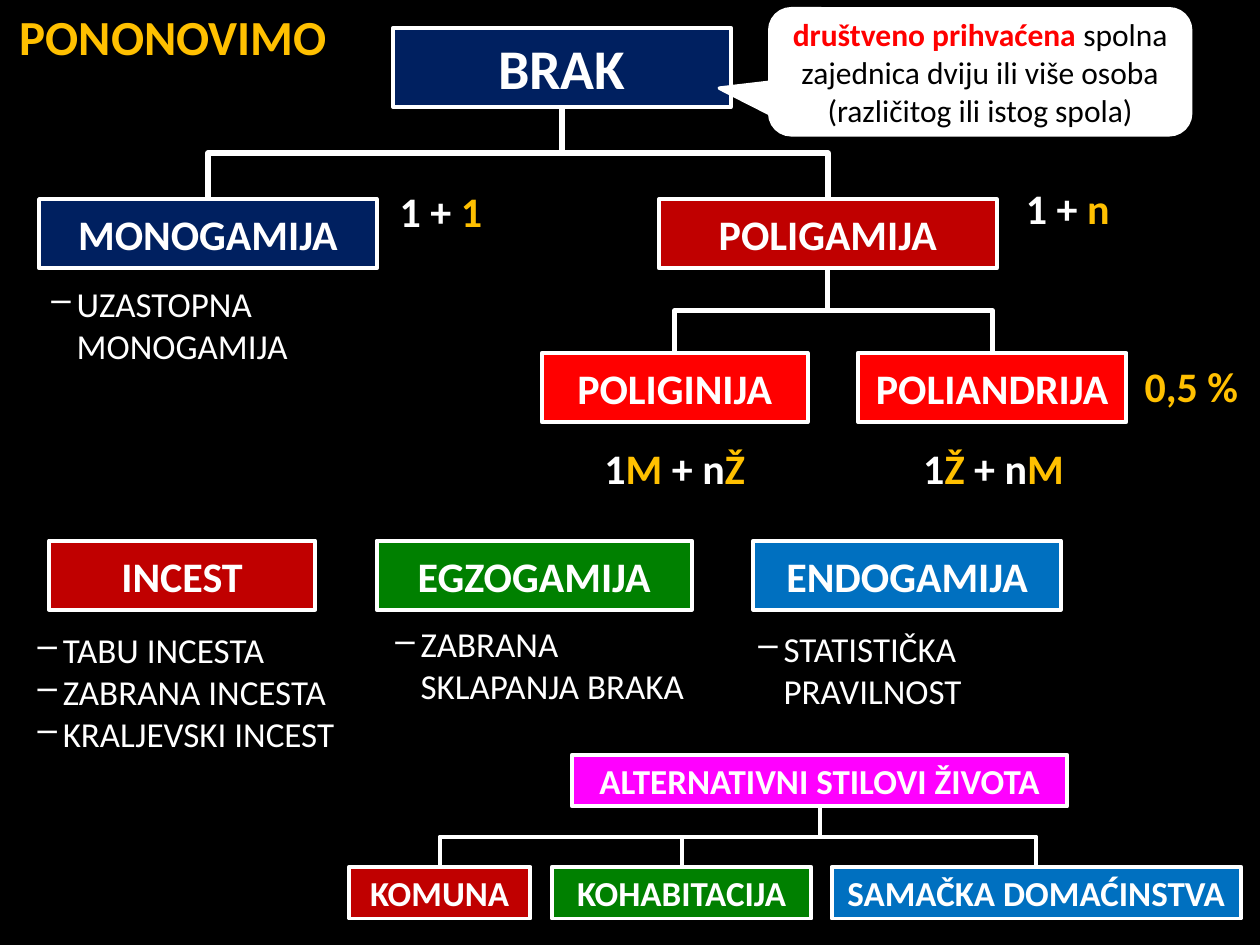
"""Builds a review slide on forms of marriage as a tree of labelled boxes."""
from lxml import etree
from pptx import Presentation
from pptx.dml.color import RGBColor
from pptx.enum import shapes, text
from pptx.oxml.ns import qn
from pptx.util import Inches, Pt

COLORS = {
    "black": "000000", "white": "FFFFFF", "gold": "FFC000", "navy": "002060",
    "crimson": "C00000", "red": "FF0000", "green": "008000", "blue": "0070C0",
    "magenta": "FF00FF",
}
BOXES = [
    ("BRAK", (3.12, 0.22, 2.68, 0.63), "navy", 32),
    ("MONOGAMIJA", (0.31, 1.58, 2.68, 0.55), "navy", 24),
    ("POLIGAMIJA", (5.23, 1.58, 2.68, 0.55), "crimson", 24),
    ("POLIGINIJA", (4.3, 2.8, 2.11, 0.55), "red", 24),
    ("POLIANDRIJA", (6.81, 2.8, 2.13, 0.55), "red", 24),
    ("INCEST", (0.39, 4.29, 2.11, 0.55), "crimson", 24),
    ("EGZOGAMIJA", (2.99, 4.29, 2.5, 0.55), "green", 24),
    ("ENDOGAMIJA", (5.98, 4.29, 2.44, 0.55), "blue", 24),
    ("ALTERNATIVNI STILOVI ŽIVOTA", (4.54, 5.99, 3.93, 0.41), "magenta", 20),
    ("KOMUNA", (2.77, 6.88, 1.44, 0.41), "crimson", 20),
    ("KOHABITACIJA", (4.38, 6.88, 2.06, 0.41), "green", 20),
    ("SAMAČKA DOMAĆINSTVA", (6.6, 6.88, 3.25, 0.41), "blue", 20),
]
BRANCHES = [
    ("BRAK", ["MONOGAMIJA", "POLIGAMIJA"], 3),
    ("POLIGAMIJA", ["POLIGINIJA", "POLIANDRIJA"], 3),
    ("ALTERNATIVNI STILOVI ŽIVOTA",
     ["KOMUNA", "KOHABITACIJA", "SAMAČKA DOMAĆINSTVA"], 2.25),
]
LABELS = [
    ((-0.04, -0.01, 2.83, 0.59), 28, [("PONONOVIMO", "gold")]),
    ((3.07, 1.42, 0.86, 0.5), 24, [("1 + ", "white"), ("1", "gold")]),
    ((8.04, 1.4, 0.87, 0.5), 24, [("1 + ", "white"), ("n", "gold")]),
    ((4.69, 3.46, 1.33, 0.5), 24,
     [("1", "white"), ("M", "gold"), (" + n", "white"), ("Ž", "gold")]),
    ((7.22, 3.46, 1.33, 0.5), 24,
     [("1", "white"), ("Ž", "gold"), (" + n", "white"), ("M", "gold")]),
    ((8.83, 2.81, 1.25, 0.5), 24, [("0,5 %", "gold")]),
]
LISTS = [
    ((0.31, 2.19, 2.89, 0.77), ["UZASTOPNA MONOGAMIJA"]),
    ((0.2, 4.93, 2.97, 1.11),
     ["TABU INCESTA", "ZABRANA INCESTA", "KRALJEVSKI INCEST"]),
    ((3.04, 4.72, 2.7, 1.11), ["ZABRANA SKLAPANJA BRAKA"]),
    ((5.92, 4.93, 2.11, 0.77), ["STATISTIČKA PRAVILNOST"]),
]
DEFINITION = [
    ("društveno prihvaćena ", "red", True),
    ("spolna zajednica dviju ili više osoba (različitog ili istog spola)",
     "black", False),
]


def color(name):
    return RGBColor.from_string(COLORS[name])


def write(paragraph, runs, size, alignment=text.PP_ALIGN.CENTER):
    paragraph.alignment = alignment
    for content, name, bold in runs:
        run = paragraph.add_run()
        run.text = content
        run.font.name = "Calibri"
        run.font.size = Pt(size)
        run.font.bold = bold
        run.font.color.rgb = color(name)


def add_box(kind, place, fill, line_width, runs, size):
    shape = slide.shapes.add_shape(kind, *map(Inches, place))
    shape.shadow.inherit = False
    shape.fill.solid()
    shape.fill.fore_color.rgb = color(fill)
    shape.line.color.rgb = color("white")
    shape.line.width = Pt(line_width)
    shape.text_frame.vertical_anchor = text.MSO_ANCHOR.MIDDLE
    write(shape.text_frame.paragraphs[0], runs, size)
    return shape


def add_text(place, wrap):
    frame = slide.shapes.add_textbox(*map(Inches, place)).text_frame
    frame.word_wrap = wrap
    frame.vertical_anchor = text.MSO_ANCHOR.MIDDLE
    return frame


def add_dash(paragraph):
    properties = paragraph._p.get_or_add_pPr()
    properties.set("marL", str(Inches(0.2)))
    properties.set("indent", str(Inches(-0.2)))
    etree.SubElement(properties, qn("a:buChar")).set("char", "–")


def add_branch(parent, child, width):
    connector = slide.shapes.add_connector(shapes.MSO_CONNECTOR.ELBOW, 0, 0, 0, 0)
    connector.begin_connect(parent, 2)
    connector.end_connect(child, 0)
    start_x, start_y = connector.begin_x, connector.begin_y
    across, down = connector.end_x - start_x, connector.end_y - start_y
    properties = connector._element.spPr
    properties.xfrm.rot = 270 if across > 0 else 90
    properties.xfrm.flipH = across > 0
    properties.xfrm.flipV = False
    connector.width, connector.height = down, abs(across)
    connector.left = start_x + (across - down) // 2
    connector.top = start_y + (down - abs(across)) // 2
    connector.line.color.rgb = color("white")
    connector.line.width = Pt(width)
    etree.SubElement(properties, qn("a:effectLst"))


presentation = Presentation()
presentation.slide_width, presentation.slide_height = Inches(10), Inches(7.5)
slide = presentation.slides.add_slide(presentation.slide_layouts[6])
slide.background.fill.solid()
slide.background.fill.fore_color.rgb = color("black")

boxes = {
    name: add_box(shapes.MSO_SHAPE.RECTANGLE, place, fill, 2.25,
                  [(name, "white", True)], size)
    for name, place, fill, size in BOXES
}
for parent, children, width in BRANCHES:
    for child in children:
        add_branch(boxes[parent], boxes[child], width)

for place, size, parts in LABELS:
    frame = add_text(place, wrap=len(parts) == 1)
    write(frame.paragraphs[0], [(*part, True) for part in parts], size)

for place, items in LISTS:
    frame = add_text(place, wrap=True)
    for index, item in enumerate(items):
        paragraph = frame.add_paragraph() if index else frame.paragraphs[0]
        write(paragraph, [(item, "white", False)], 20, text.PP_ALIGN.LEFT)
        add_dash(paragraph)

callout = add_box(shapes.MSO_SHAPE.ROUNDED_RECTANGULAR_CALLOUT,
                  (6.11, 0.07, 3.34, 1), "white", 2, DEFINITION, 18)
for index, value in enumerate((-0.62, 0.13, 0.17)):
    callout.adjustments[index] = value

presentation.save("out.pptx")
